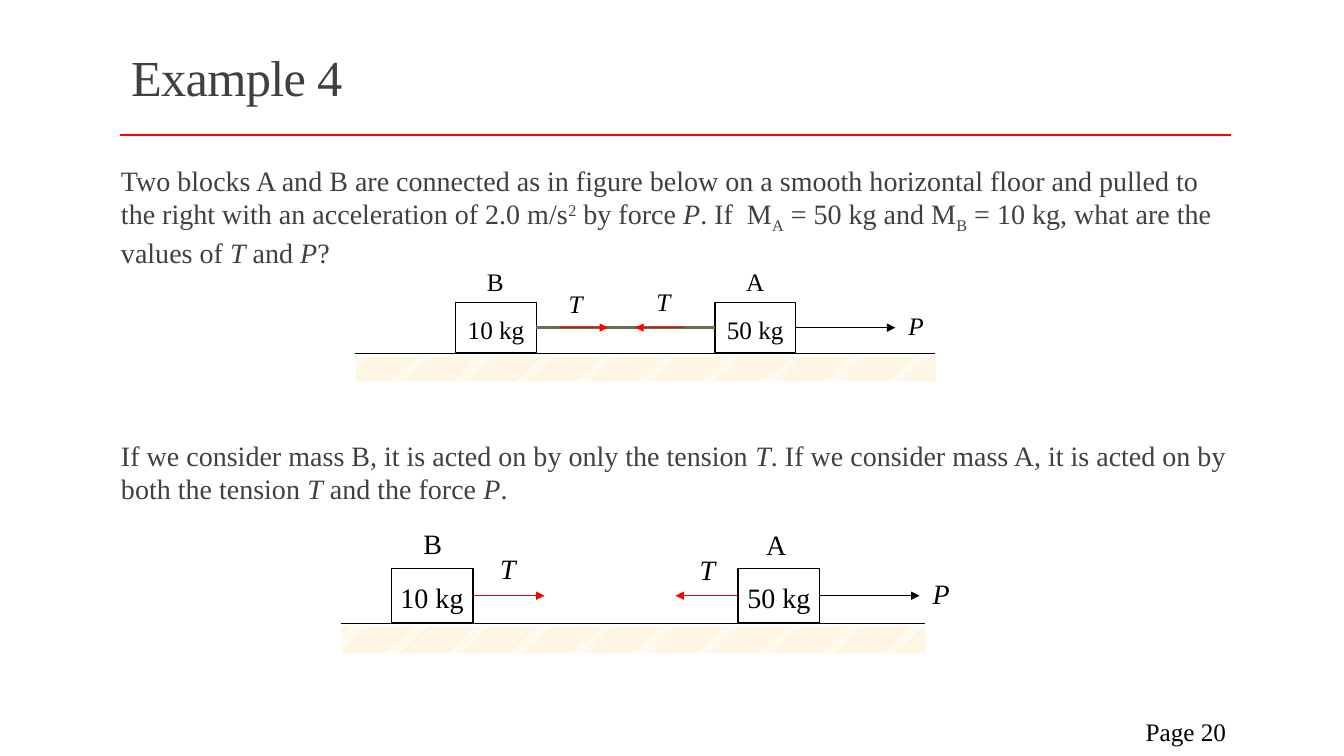
"""Build the Example 4 slide: two connected blocks and their free-body figures."""
from lxml import etree
from pptx import Presentation
from pptx import util as u
from pptx.dml.color import RGBColor
from pptx.enum import dml, shapes, text
from pptx.oxml import ns

FONT = "Times New Roman"
BLACK, GREY, RED, GREEN, SAND, WHITE = "000000", "404040", "FF0000", "637052", "FFCC66", "FFFFFF"
BASELINES = {"sup": "30000", "sub": "-25000"}

TITLE = [[("Example 4", "")]]
PAGE = [[("Page 20", "")]]
PROBLEM = [
    ("Two blocks A and B are connected as in figure below on a smooth horizontal floor "
     "and pulled to the right with an acceleration of 2.0 m/s", ""),
    ("2", "sup"), (" by force ", ""), ("P", "i"), (". If  M", ""), ("A", "sub"),
    (" = 50 kg and M", ""), ("B", "sub"), (" = 10 kg, what are the values of ", ""),
    ("T", "i"), (" and ", ""), ("P", "i"), ("?", ""),
]
SOLUTION = [
    ("If we consider mass B, it is acted on by only the tension ", ""), ("T", "i"),
    (". If we consider mass A, it is acted on by both the tension ", ""), ("T", "i"),
    (" and the force ", ""), ("P", "i"), (".", ""),
]

MASSES = {"B": "10 kg", "A": "50 kg"}
FIGURES = [
    dict(size=18, floor=(3.52, 5.75, 0.24), block_top=3.0, block_size=(0.8, 0.5),
         blocks={"B": 4.52, "A": 7.09}, rope=("B", "A"),
         names={"B": (4.79, 2.6), "A": (7.36, 2.6)},
         forces=[(5.54, 6.03, RED, None), (6.79, 6.3, RED, None), (7.9, 8.88, BLACK, ("A", 3))],
         force_names=[("T", 5.62, 2.85), ("T", 6.49, 2.83), ("P", 8.99, 3.07)]),
    dict(size=20, floor=(3.38, 5.79, 0.26), block_top=5.64, block_size=(0.81, 0.54),
         blocks={"B": 3.88, "A": 7.32}, rope=None,
         names={"B": (4.16, 5.18), "A": (7.56, 5.19)},
         forces=[(4.69, 5.4, RED, ("B", 3)), (7.32, 6.7, RED, ("A", 1)),
                 (8.14, 9.12, BLACK, ("A", 3))],
         force_names=[("T", 4.94, 5.46), ("T", 6.92, 5.47), ("P", 9.23, 5.71)]),
]


def color(value):
    return RGBColor.from_string(value)


def place(shape, *box):
    shape.left, shape.top, shape.width, shape.height = map(u.Inches, box)


def write(shape, paragraphs, size, ink=BLACK, align="LEFT", anchor="TOP",
          inset=(0.1, 0.05, 0.1, 0.05), gap=0, leading=1.0, tracking=None):
    frame = shape.text_frame
    frame.word_wrap = True
    frame.auto_size = text.MSO_AUTO_SIZE.NONE
    frame.vertical_anchor = text.MSO_ANCHOR[anchor]
    frame.margin_left, frame.margin_top, frame.margin_right, frame.margin_bottom = map(u.Inches, inset)
    for index, runs in enumerate(paragraphs):
        paragraph = frame.add_paragraph() if index else frame.paragraphs[0]
        paragraph.alignment = text.PP_ALIGN[align]
        paragraph.line_spacing = leading
        paragraph.space_before = u.Pt(gap if index else 0)
        for words, style in runs:
            run = paragraph.add_run()
            run.text = words
            run.font.name, run.font.size = FONT, u.Pt(size)
            run.font.color.rgb = color(ink)
            run.font.italic = style == "i"
            properties = run.font._element
            if style in BASELINES:
                properties.set("baseline", BASELINES[style])
            if tracking:
                properties.set("spc", str(tracking))


def add_text(parent, box, paragraphs, size, **style):
    write(parent.add_textbox(*map(u.Inches, box)), paragraphs, size, **style)


def add_line(parent, x1, x2, y, ink, width=0.75, arrow=False, begin=None, end=None):
    line = parent.add_connector(shapes.MSO_CONNECTOR.STRAIGHT, *map(u.Inches, (x1, y, x2, y)))
    if begin:
        line.begin_connect(*begin)
    if end:
        line.end_connect(*end)
    line.line.color.rgb = color(ink)
    line.line.width = u.Pt(width)
    properties = line.element.spPr
    if arrow:
        etree.SubElement(properties.find(ns.qn("a:ln")), ns.qn("a:tailEnd"), type="triangle")
    etree.SubElement(properties, ns.qn("a:effectLst"))


def add_box(parent, *box):
    rectangle = parent.add_shape(shapes.MSO_SHAPE.RECTANGLE, *map(u.Inches, box))
    rectangle.shadow.inherit = False
    return rectangle


def add_figure(slide, figure):
    group = slide.shapes.add_group_shape().shapes
    size, top = figure["size"], figure["block_top"]
    width, height = figure["block_size"]
    middle, ground = top + height / 2, top + height + 0.01
    left, length, depth = figure["floor"]

    add_line(group, left, left + length, ground, BLACK)
    hatch = add_box(group, left + 0.01, ground + 0.03, length, depth)
    hatch.fill.patterned()
    hatch.fill.pattern = dml.MSO_PATTERN.LIGHT_UPWARD_DIAGONAL
    hatch.fill.fore_color.rgb, hatch.fill.back_color.rgb = color(SAND), color(WHITE)
    hatch.line.fill.background()

    blocks = {}
    for name, x in figure["blocks"].items():
        block = blocks[name] = add_box(group, x, top, width, height)
        block.fill.solid()
        block.fill.fore_color.rgb = color(WHITE)
        block.line.color.rgb, block.line.width = color(BLACK), u.Pt(1)
        write(block, [[(MASSES[name], "")]], size, align="CENTER", inset=(0.04, 0.12, 0.04, 0.05))
        add_text(group, (*figure["names"][name], 0.46, 0.38), [[(name, "")]], size, inset=(0.04,) * 4)

    if figure["rope"]:
        first, last = figure["rope"]
        add_line(group, figure["blocks"][first] + width, figure["blocks"][last], middle, GREEN, 1.75,
                 begin=(blocks[first], 3), end=(blocks[last], 1))
    for start, tip, ink, joint in figure["forces"]:
        add_line(group, start, tip, middle, ink, arrow=True,
                 begin=joint and (blocks[joint[0]], joint[1]))
    for name, x, y in figure["force_names"]:
        add_text(group, (x, y, 0.45, 0.4), [[(name, "i")]], size, inset=(0.02, 0.01, 0.02, 0.01))


def main():
    deck = Presentation()
    deck.slide_width, deck.slide_height = u.Inches(13.33), u.Inches(7.5)
    slide = deck.slides.add_slide(deck.slide_layouts[5])
    title = slide.shapes.title
    place(title, 1.2, 0.31, 11, 0.98)
    write(title, TITLE, 36, ink=GREY, anchor="MIDDLE", leading=0.85, tracking=-50)
    add_line(slide.shapes, 1.19, 12.21, 1.34, RED, 2)
    add_text(slide.shapes, (1.2, 1.57, 11.02, 5.12), [PROBLEM, SOLUTION], 20, ink=GREY,
             inset=(0, 0.05, 0, 0.05), gap=121)
    add_text(slide.shapes, (10.83, 7.06, 1.43, 0.4), PAGE, 18, align="RIGHT", anchor="MIDDLE")
    for figure in FIGURES:
        add_figure(slide, figure)
    deck.save("out.pptx")


if __name__ == "__main__":
    main()
